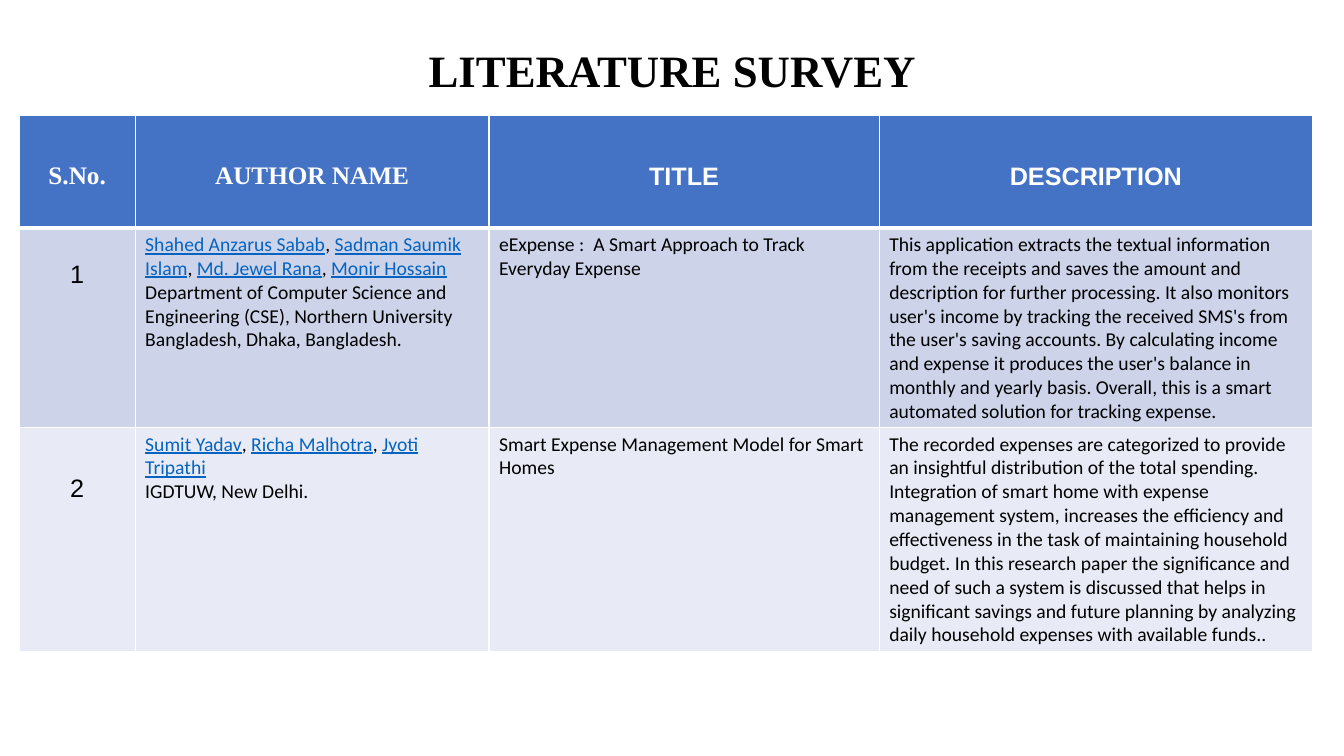
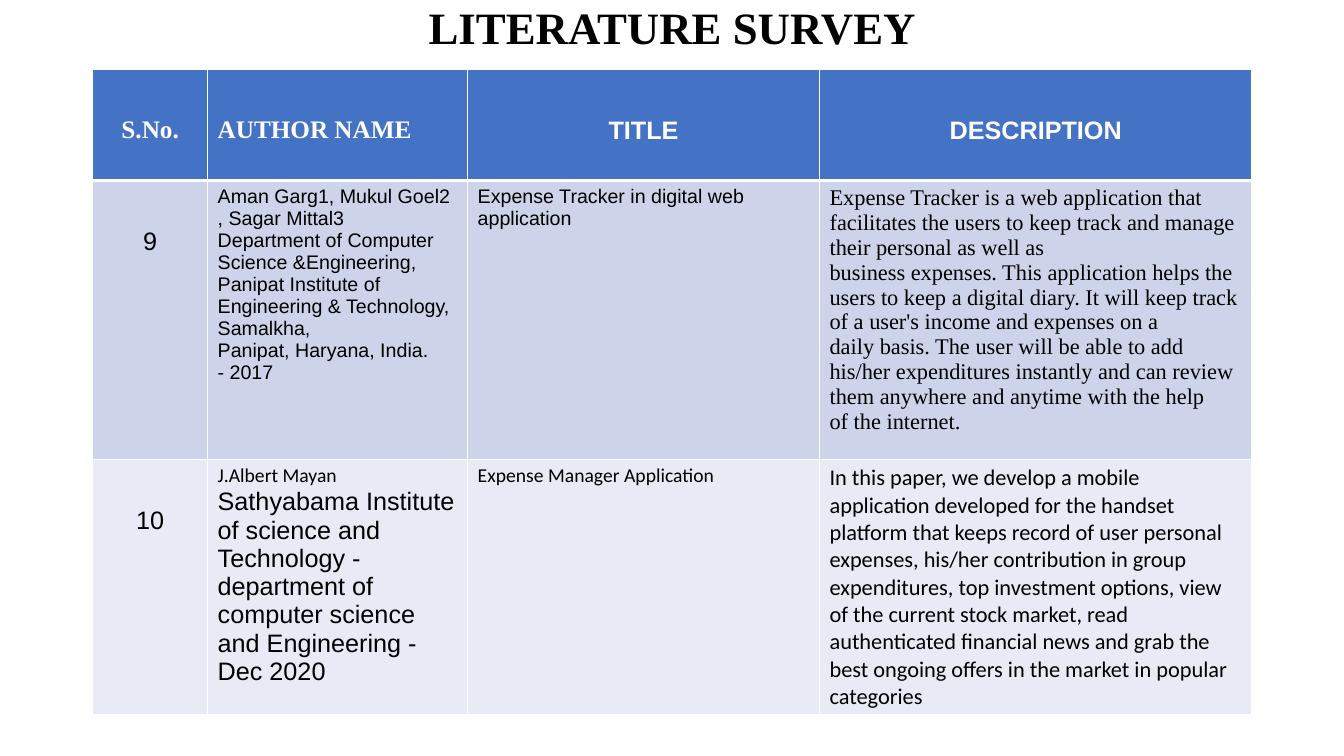
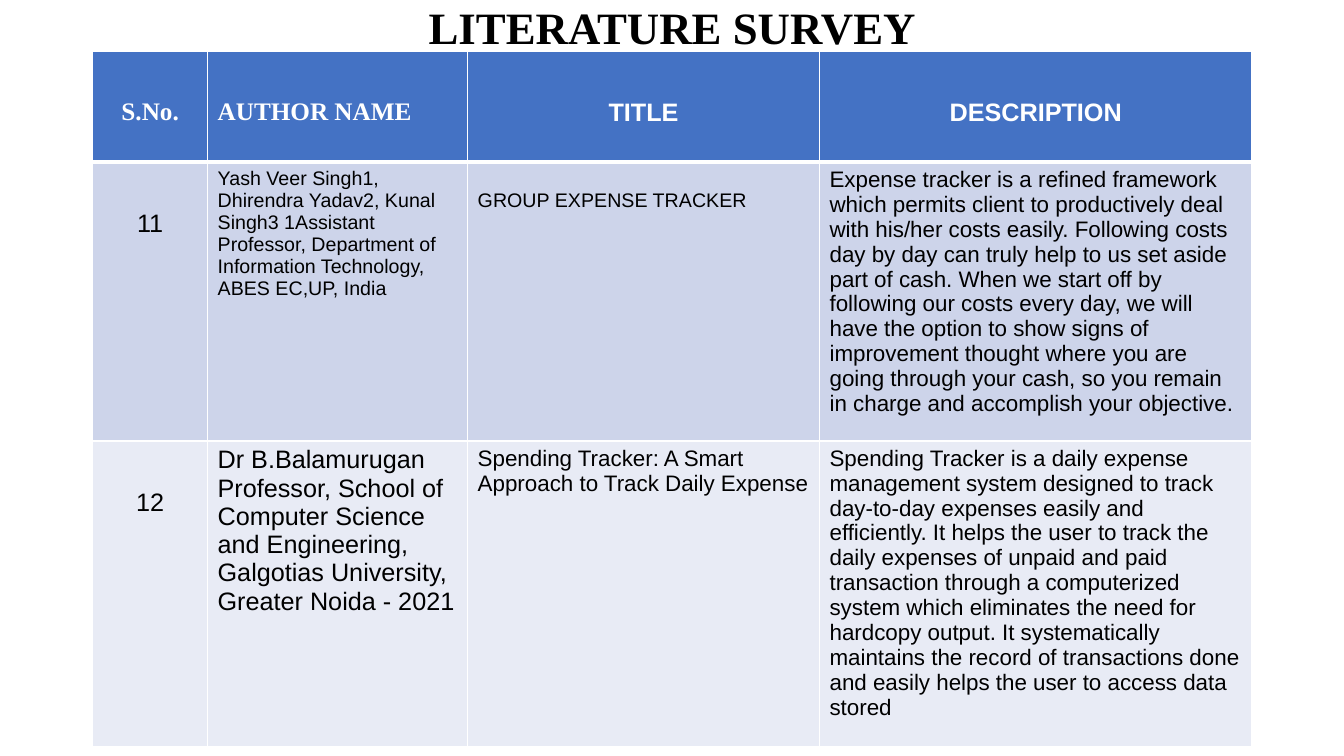
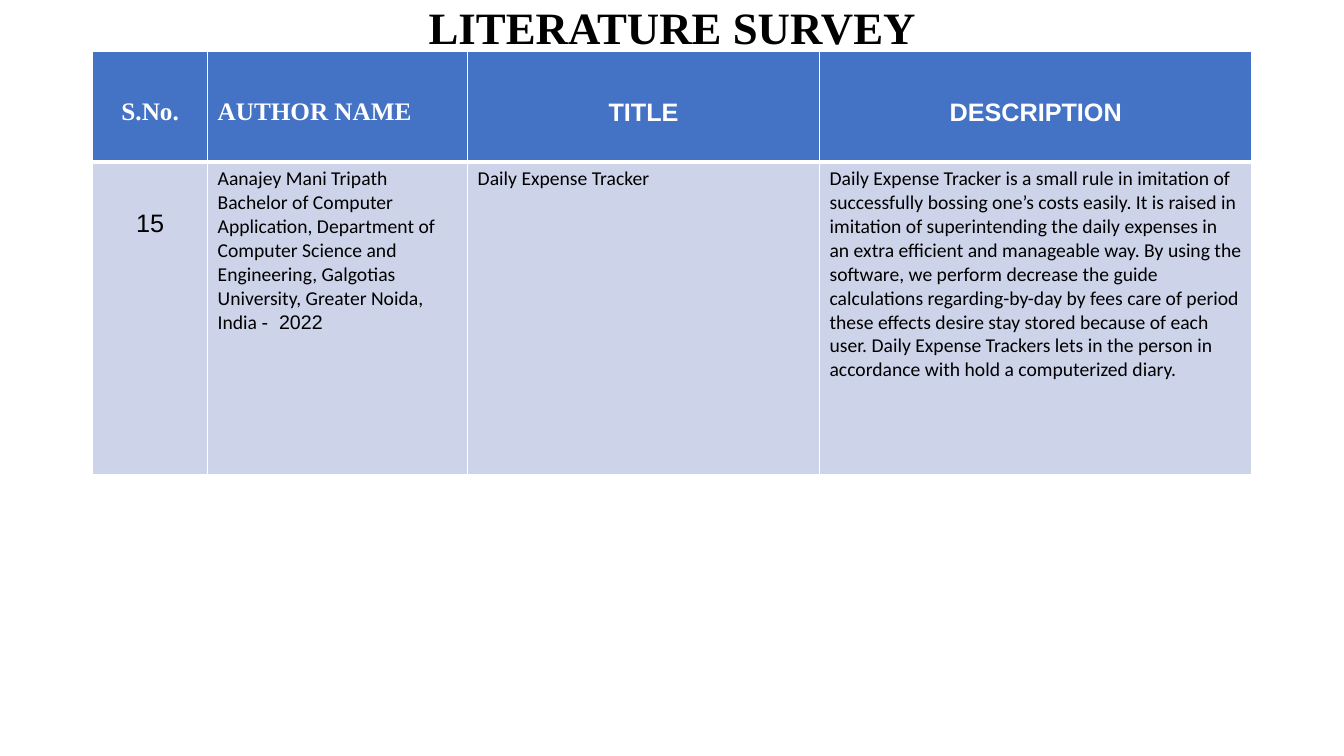
"""Literature survey: four slides, each with a title and one table of papers."""
from dataclasses import dataclass
from typing import Any

from lxml import etree
from pptx import Presentation
from pptx.dml.color import RGBColor
from pptx.enum.text import MSO_ANCHOR, PP_ALIGN
from pptx.oxml.ns import qn
from pptx.util import Inches, Length, Pt

LEFT, CENTER = PP_ALIGN.LEFT, PP_ALIGN.CENTER
MIDDLE = MSO_ANCHOR.MIDDLE

SLIDE_W, SLIDE_H = Inches(13.33), Inches(7.5)
BLANK_LAYOUT = 6

BLACK, WHITE, LINK = "000000", "FFFFFF", "0563C1"
HEADER_FILL, BAND_FILLS = "4472C4", ("CDD4EA", "E8EBF5")
THIN, THICK = 1, 3

SERIF, SANS, BODY = "Times New Roman", "Arial", "Calibri"
TITLE_TEXT = "LITERATURE SURVEY"


@dataclass(frozen=True)
class Run:
    """A stretch of text in one format."""
    text: str
    font: str = BODY
    size: int = 14
    color: str = BLACK
    bold: bool = False
    underline: bool = False


@dataclass(frozen=True)
class Cell:
    """Paragraphs of a table cell; drop is extra top margin in points."""
    paragraphs: tuple[tuple[Run, ...], ...]
    align: Any = LEFT
    spacing: float = 1.0
    drop: int = 0


@dataclass(frozen=True)
class Paper:
    """One table row; height is a percentage of the slide height."""
    height: float
    cells: tuple[Cell, ...]


@dataclass(frozen=True)
class Frame:
    """Title and table places, as percentages of the slide size."""
    title_top: float
    title_height: float
    left: float
    columns: tuple[float, ...]
    header_align: Any


@dataclass(frozen=True)
class Survey:
    """Content of one slide."""
    frame: Frame
    top: float
    header_height: float
    papers: tuple[Paper, ...]


def across(share: float) -> Length:
    """Turn a percentage of the slide width into a length."""
    return Length(int(SLIDE_W * share / 100))


def down(share: float) -> Length:
    """Turn a percentage of the slide height into a length."""
    return Length(int(SLIDE_H * share / 100))


def rgb(value: str) -> RGBColor:
    """Turn a hex string into a colour."""
    return RGBColor.from_string(value)


def block(*lines: str, font: str = BODY, size: int = 14, drop: int = 0) -> Cell:
    """Make a left-aligned cell with one paragraph per line."""
    return Cell(tuple((Run(line, font, size),) for line in lines), drop=drop)


def number(value: int, spacing: float = 2.5) -> Cell:
    """Make a serial number cell."""
    return Cell(((Run(str(value), SANS, 18),),), CENTER, spacing)


def authors(names: tuple[str, ...], place: str) -> Cell:
    """Make a cell of link-styled author names above their institute."""
    runs: list[Run] = []
    for name in names:
        if runs:
            runs.append(Run(",\u00a0"))
        runs.append(Run(name, color=LINK, underline=True))
    return Cell((tuple(runs), (Run(place),)))


def header_cells(author_align: Any) -> tuple[Cell, ...]:
    """Make the heading cells of a table."""
    headings = (("S.No.", SERIF, CENTER), ("AUTHOR NAME", SERIF, author_align),
                ("TITLE", SANS, CENTER), ("DESCRIPTION", SANS, CENTER))
    return tuple(Cell(((Run(text, font, 18, WHITE, bold=True),),), align, 2.5)
                 for text, font, align in headings)


def write(tf: Any, content: Cell) -> None:
    """Fill a text frame with formatted paragraphs."""
    for i, runs in enumerate(content.paragraphs):
        p = tf.add_paragraph() if i else tf.paragraphs[0]
        p.alignment, p.line_spacing = content.align, content.spacing
        for run in runs:
            r = p.add_run()
            r.text = run.text
            formats = {"name": run.font, "size": Pt(run.size),
                       "bold": run.bold, "underline": run.underline}
            for name, value in formats.items():
                setattr(r.font, name, value)
            r.font.color.rgb = rgb(run.color)


def set_borders(cell: Any, top: int, bottom: int) -> None:
    """Draw white borders, with the given top and bottom widths in points."""
    tc_pr = cell._tc.get_or_add_tcPr()
    widths = {"a:lnL": THIN, "a:lnR": THIN, "a:lnT": top, "a:lnB": bottom}
    for i, (tag, width) in enumerate(widths.items()):
        line = etree.Element(qn(tag), w=str(Pt(width)))
        fill = etree.SubElement(line, qn("a:solidFill"))
        etree.SubElement(fill, qn("a:srgbClr"), val=WHITE)
        tc_pr.insert(i, line)


def add_title(s: Any, frame: Frame) -> None:
    """Add the slide title."""
    sp = s.shapes.add_textbox(across(6.9), down(frame.title_top),
                              across(86.25), down(frame.title_height))
    tf = sp.text_frame
    tf.word_wrap, tf.vertical_anchor = True, MIDDLE
    title = Run(TITLE_TEXT, SERIF, 32, bold=True)
    write(tf, Cell(((title,),), CENTER, 0.9))


def add_table(s: Any, survey: Survey) -> None:
    """Add the table of papers below its heading row."""
    frame = survey.frame
    header = Paper(survey.header_height, header_cells(frame.header_align))
    rows = (header, *survey.papers)
    table = s.shapes.add_table(
        len(rows), len(frame.columns), across(frame.left), down(survey.top),
        across(sum(frame.columns)), down(sum(row.height for row in rows))).table
    for column, width in zip(table.columns, frame.columns):
        column.width = across(width)
    for i, row in enumerate(rows):
        table.rows[i].height = down(row.height)
        fill = BAND_FILLS[(i - 1) % 2] if i else HEADER_FILL
        for j, content in enumerate(row.cells):
            cell = table.cell(i, j)
            cell.margin_top = Inches(0.05) + Pt(content.drop)
            cell.fill.solid()
            cell.fill.fore_color.rgb = rgb(fill)
            set_borders(cell, THICK if i == 1 else THIN, THIN if i else THICK)
            write(cell.text_frame, content)


WIDE = Frame(0, 19.33, 1.43, (8.63, 26.33, 29.03, 32.26), CENTER)
NARROW = Frame(-3.73, 15.33, 6.9, (8.55, 19.35, 26.18, 32.18), LEFT)

SURVEYS = (
    Survey(WIDE, 15.2, 14.93, (
        Paper(26.4, (
            number(1, 2),
            authors(("Shahed Anzarus Sabab", "Sadman Saumik Islam",
                     "Md. Jewel Rana", "Monir Hossain"),
                    "Department of Computer Science and Engineering (CSE), "
                    "Northern University Bangladesh, Dhaka, Bangladesh."),
            block("eExpense :  A Smart Approach to Track Everyday Expense"),
            block("This application extracts the textual information from the "
                  "receipts and saves the amount and description for further "
                  "processing. It also monitors user's income by tracking the "
                  "received SMS's from the user's saving accounts. By "
                  "calculating income and expense it produces the user's "
                  "balance in monthly and yearly basis. Overall, this is a "
                  "smart automated solution for tracking expense."))),
        Paper(29.6, (
            number(2),
            authors(("Sumit Yadav", "Richa Malhotra", "Jyoti Tripathi"),
                    "IGDTUW, New Delhi."),
            block("Smart Expense Management Model for Smart Homes"),
            block("The recorded expenses are categorized to provide an "
                  "insightful distribution of the total spending. Integration "
                  "of smart home with expense management system, increases "
                  "the efficiency and effectiveness in the task of "
                  "maintaining household budget. In this research paper the "
                  "significance and need of such a system is discussed that "
                  "helps in significant savings and future planning by "
                  "analyzing daily household expenses with available "
                  "funds.."))))),
    Survey(NARROW, 9.2, 14.67, (
        Paper(34.27, (
            number(9),
            block("Aman Garg1, Mukul Goel2", ", Sagar Mittal3",
                  "Department of Computer Science &Engineering, Panipat "
                  "Institute of Engineering & Technology, Samalkha,",
                  "Panipat, Haryana, India.", "- 2017", font=SANS),
            block("Expense Tracker in digital web application", font=SANS),
            block("Expense Tracker is a web application that facilitates the "
                  "users to keep track and manage their personal as well as",
                  "business expenses. This application helps the users to "
                  "keep a digital diary. It will keep track of a user's "
                  "income and expenses on a",
                  "daily basis. The user will be able to add his/her "
                  "expenditures instantly and can review them anywhere and "
                  "anytime with the help",
                  "of the internet.", font=SERIF, size=16))),
        Paper(33.73, (
            number(10),
            Cell(((Run("J.Albert Mayan"),),
                  (Run("Sathyabama Institute of science and Technology - "
                       "department of computer science and Engineering - "
                       "Dec 2020", SANS, 18),))),
            block("Expense Manager Application"),
            block("In this paper, we develop a mobile application developed "
                  "for the handset platform that keeps record of user "
                  "personal expenses, his/her contribution in group "
                  "expenditures, top investment options, view of the current "
                  "stock market, read authenticated financial news and grab "
                  "the best ongoing offers in the market in popular "
                  "categories", size=16))))),
    Survey(NARROW, 6.8, 14.67, (
        Paper(35.07, (
            number(11),
            block("Yash Veer Singh1, Dhirendra Yadav2, Kunal Singh3 "
                  "1Assistant Professor, Department of Information "
                  "Technology, ABES EC,UP, India", font=SANS),
            block("GROUP EXPENSE TRACKER", font=SANS, drop=16),
            block("Expense tracker is a refined framework which permits "
                  "client to productively deal with his/her costs easily. "
                  "Following costs day by day can truly help to us set aside "
                  "part of cash. When we start off by following our costs "
                  "every day, we will have the option to show signs of "
                  "improvement thought where you are going through your "
                  "cash, so you remain in charge and accomplish your "
                  "objective.", font=SANS, size=16))),
        Paper(37.47, (
            number(12),
            block("Dr B.Balamurugan Professor, School of Computer Science "
                  "and Engineering, Galgotias University, Greater Noida - "
                  "2021", font=SANS, size=18),
            block("Spending Tracker: A Smart Approach to Track Daily Expense",
                  font=SANS, size=16),
            block("Spending Tracker is a daily expense management system "
                  "designed to track day-to-day expenses easily and "
                  "efficiently. It helps the user to track the daily "
                  "expenses of unpaid and paid transaction through a "
                  "computerized system which eliminates the need for "
                  "hardcopy output. It systematically maintains the record "
                  "of transactions done and easily helps the user to access "
                  "data stored", font=SANS, size=16))))),
    Survey(NARROW, 6.8, 14.67, (
        Paper(41.33, (
            number(15),
            Cell(((Run("Aanajey Mani Tripath Bachelor of Computer "
                       "Application, Department of Computer Science and "
                       "Engineering, Galgotias University, Greater Noida, "
                       "India "), Run("-  2022", SANS)),)),
            block("Daily Expense Tracker"),
            block("Daily Expense Tracker is a small rule in imitation of "
                  "successfully bossing one’s costs easily. It is raised in "
                  "imitation of superintending the daily expenses in an "
                  "extra efficient and manageable way. By using the "
                  "software, we perform decrease the guide calculations "
                  "regarding-by-day by fees care of period these effects "
                  "desire stay stored because of each user. Daily Expense "
                  "Trackers lets in the person in accordance with hold a "
                  "computerized diary."))),)),
)


def main() -> None:
    """Build and save the presentation."""
    prs = Presentation()
    prs.slide_width, prs.slide_height = SLIDE_W, SLIDE_H
    for survey in SURVEYS:
        s = prs.slides.add_slide(prs.slide_layouts[BLANK_LAYOUT])
        add_title(s, survey.frame)
        add_table(s, survey)
    prs.save("out.pptx")


main()
